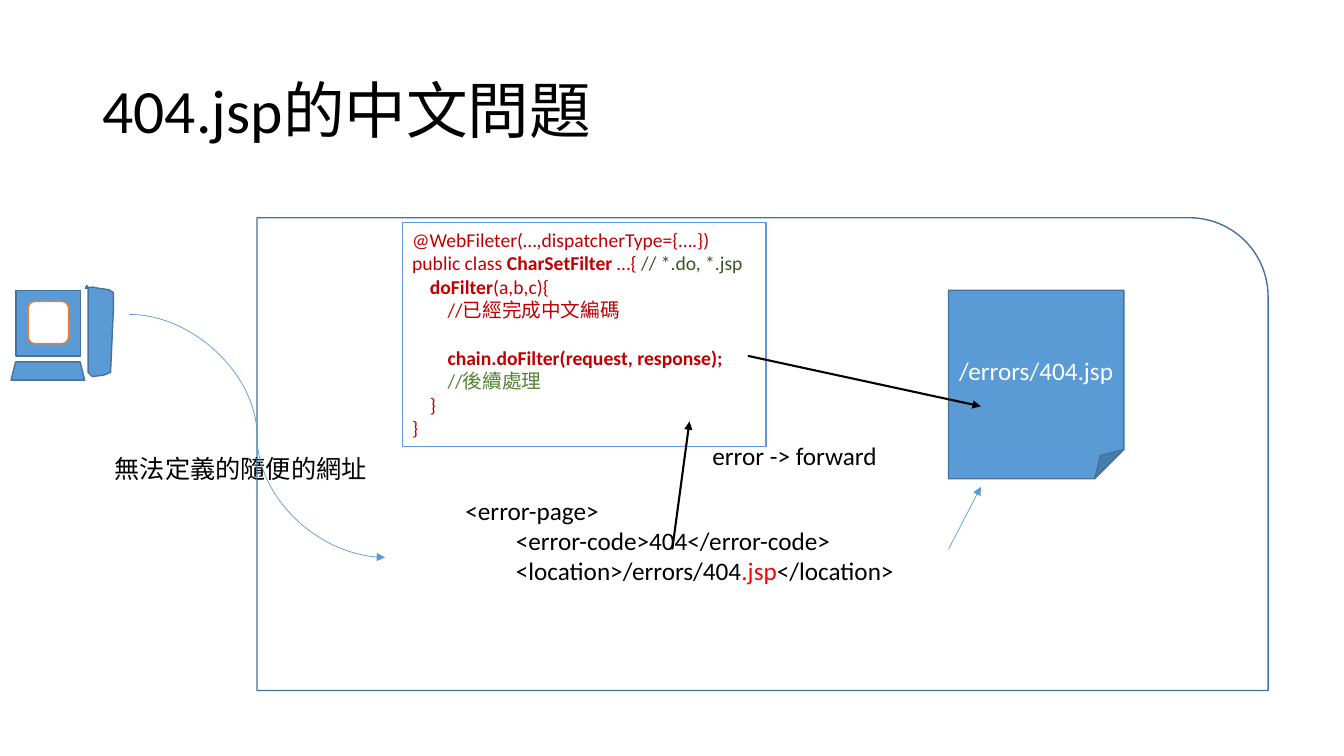
from dataclasses import dataclass

from lxml import etree
from pptx import Presentation
from pptx.dml.color import RGBColor
from pptx.enum import shapes, text
from pptx.oxml import ns
from pptx.util import Pt


@dataclass(frozen=True)
class Theme:
    font: str = "Calibri"
    title_size: int = 44
    body_size: int = 18
    code_size: int = 14
    black: str = "000000"
    white: str = "FFFFFF"
    blue: str = "5B9BD5"
    edge: str = "43739E"
    orange: str = "ED7D31"
    code: str = "C00000"
    pattern: str = "385723"
    remark: str = "548235"
    highlight: str = "FF0000"


THEME = Theme()
KIND = shapes.MSO_SHAPE
LINK = shapes.MSO_CONNECTOR

ERROR_PAGE = [
    [("<error-page>",)],
    [("\t<error-code>404</error-code>",)],
    [("\t<location>/errors/404",), (".jsp", THEME.highlight), ("</location>",)],
]
BEFORE_CHAIN = [
    [("@WebFileter(…,dispatcherType={….})",)],
    [("public class ",), ("CharSetFilter", THEME.code, True), (" …{ ",),
     ("// *.do, *.jsp", THEME.pattern)],
    [("    ",), ("doFilter", THEME.code, True), ("(a,b,c){",)],
    [("        //已經完成中文編碼",)],
]
FROM_CHAIN = [
    [("        chain.doFilter(request, response);", THEME.code, True)],
    [("        ",), ("//後續處理", THEME.remark)],
    [("    }",)],
    [("}",)],
]
TOWER = [(62.6, 208.8), (63.4, 265.7), (66.2, 268.6), (74.2, 267.8),
         (79.2, 266.4), (80.6, 221), (81.4, 216.7), (81.4, 208.8),
         (77.8, 207.4), (71.3, 205.9), (66, 204.8), (61.2, 205.9),
         (62, 203.8), (62.6, 205)]


def rgb(value):
    return RGBColor.from_string(value)


def style_run(run, size, color, bold=False):
    run.font.name = THEME.font
    run.font.size = Pt(size)
    run.font.color.rgb = rgb(color)
    run.font.bold = bold


def write_lines(frame, lines, size, color):
    for number, pieces in enumerate(lines):
        paragraph = frame.add_paragraph() if number else frame.paragraphs[0]
        paragraph.alignment = text.PP_ALIGN.LEFT
        for content, *look in pieces:
            run = paragraph.add_run()
            run.text = content
            style_run(run, size, *(look or [color]))


def paint(shape, fill, edge):
    shape.shadow.inherit = False
    if fill:
        shape.fill.solid()
        shape.fill.fore_color.rgb = rgb(fill)
    else:
        shape.fill.background()
    shape.line.color.rgb = rgb(edge)
    shape.line.width = Pt(1)
    return shape


def add_block(parent, kind, box, fill=THEME.blue, edge=THEME.edge):
    return paint(parent.add_shape(kind, *map(Pt, box)), fill, edge)


def add_label(slide, box, lines, wrap=False):
    frame = slide.shapes.add_textbox(*map(Pt, box)).text_frame
    frame.word_wrap = wrap
    write_lines(frame, lines, THEME.body_size, THEME.black)


def add_arrow(slide, start, end, color, width, kind=LINK.STRAIGHT):
    arrow = slide.shapes.add_connector(kind, *map(Pt, start + end))
    arrow.line.color.rgb = rgb(color)
    arrow.line.width = Pt(width)
    outline = arrow.line._get_or_add_ln()
    etree.SubElement(outline, ns.qn("a:tailEnd"), type="triangle")
    etree.SubElement(outline.getparent(), ns.qn("a:effectLst"))


def add_title(slide):
    title = slide.shapes.title
    title.left, title.top, title.width, title.height = map(Pt, (66, 28.8, 828, 104.4))
    frame = title.text_frame
    frame.text = "404.jsp的中文問題"
    frame.vertical_anchor = text.MSO_ANCHOR.MIDDLE
    paragraph = frame.paragraphs[0]
    paragraph.alignment = text.PP_ALIGN.LEFT
    paragraph.line_spacing = 0.9
    style_run(paragraph.runs[0], THEME.title_size, THEME.black)


def add_computer(slide):
    parts = slide.shapes.add_group_shape().shapes
    add_block(parts, KIND.RECTANGLE, (11.5, 207.4, 46.1, 46.8))
    builder = parts.build_freeform(*TOWER[0], scale=Pt(1))
    builder.add_line_segments(TOWER[1:], close=True)
    paint(builder.convert_to_shape(), THEME.blue, THEME.edge)
    add_block(parts, KIND.TRAPEZOID, (7.9, 258.5, 52.6, 13))
    add_block(parts, KIND.ROUNDED_RECTANGLE, (20.2, 215.3, 28.8, 30.2),
              THEME.white, THEME.orange)


def add_error_file(slide):
    page = add_block(slide.shapes, KIND.FOLDED_CORNER, (677.5, 207.4, 125.3, 134.6))
    frame = page.text_frame
    frame.text = "/errors/404.jsp"
    frame.vertical_anchor = text.MSO_ANCHOR.MIDDLE
    frame.paragraphs[0].alignment = text.PP_ALIGN.CENTER
    style_run(frame.paragraphs[0].runs[0], THEME.body_size, THEME.white)


def add_filter_code(slide):
    listing = add_block(slide.shapes, KIND.RECTANGLE, (287.3, 159.1, 259.9, 159.8),
                        THEME.white, THEME.blue)
    frame = listing.text_frame
    frame.word_wrap = True
    frame.vertical_anchor = text.MSO_ANCHOR.TOP
    write_lines(frame, BEFORE_CHAIN + FROM_CHAIN, THEME.code_size, THEME.code)
    frame.paragraphs[len(BEFORE_CHAIN)].space_before = Pt(17)


def main():
    deck = Presentation()
    deck.slide_width, deck.slide_height = Pt(960), Pt(540)
    slide = deck.slides.add_slide(deck.slide_layouts[5])
    add_title(slide)
    add_label(slide, (74.9, 320.4, 198.7, 28.8), [[("無法定義的隨便的網址",)]], wrap=True)
    add_label(slide, (325.4, 349.9, 360, 72.7), ERROR_PAGE)
    add_computer(slide)
    add_block(slide.shapes, KIND.ROUND_1_RECTANGLE, (183.6, 155.5, 722.2, 337.7), None)
    add_arrow(slide, (92.2, 224.6), (275, 398.2), THEME.blue, 0.5, LINK.CURVE)
    add_label(slide, (501.8, 311, 133.2, 28.8), [[("error -> forward",)]])
    add_error_file(slide)
    add_filter_code(slide)
    add_arrow(slide, (480.2, 392.4), (492.5, 301), THEME.black, 1.5)
    add_arrow(slide, (534.2, 254.2), (700.6, 290.2), THEME.black, 1.5)
    add_arrow(slide, (677.5, 392.4), (700.6, 347.8), THEME.blue, 0.5)
    deck.save("out.pptx")


if __name__ == "__main__":
    main()
